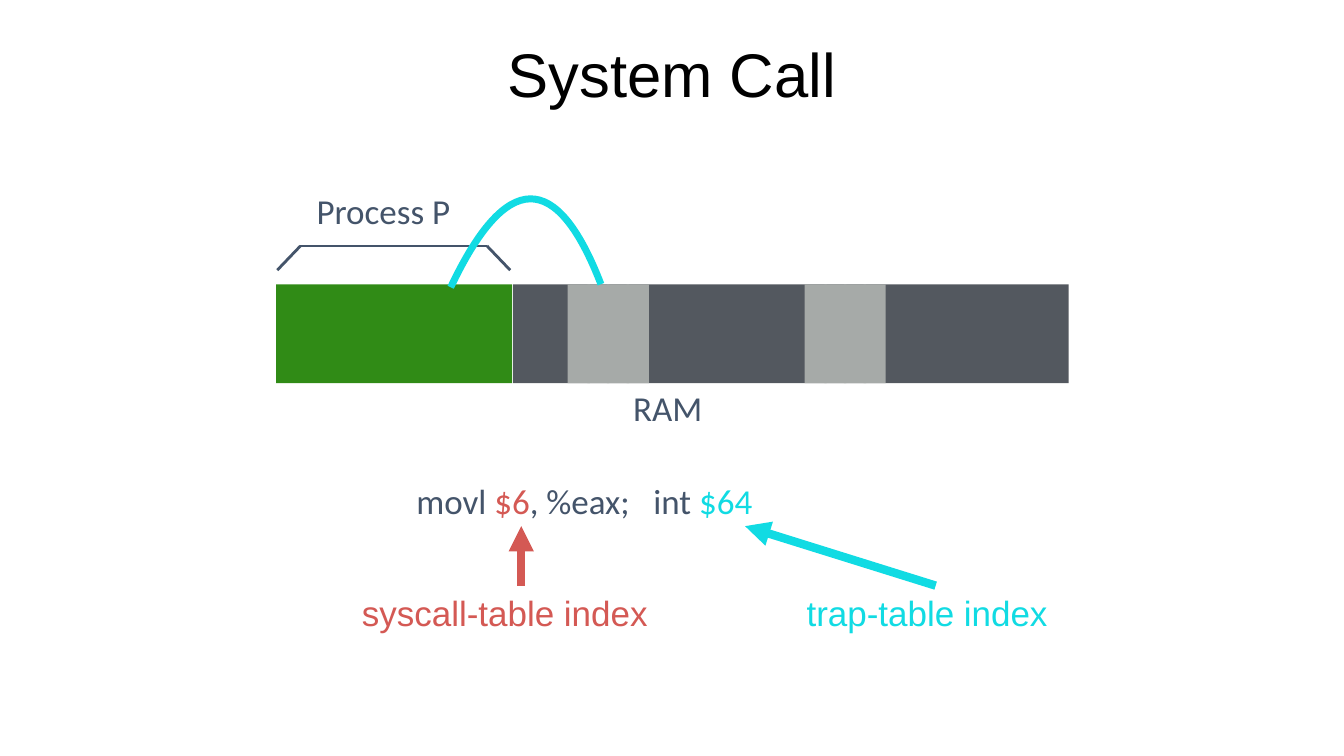
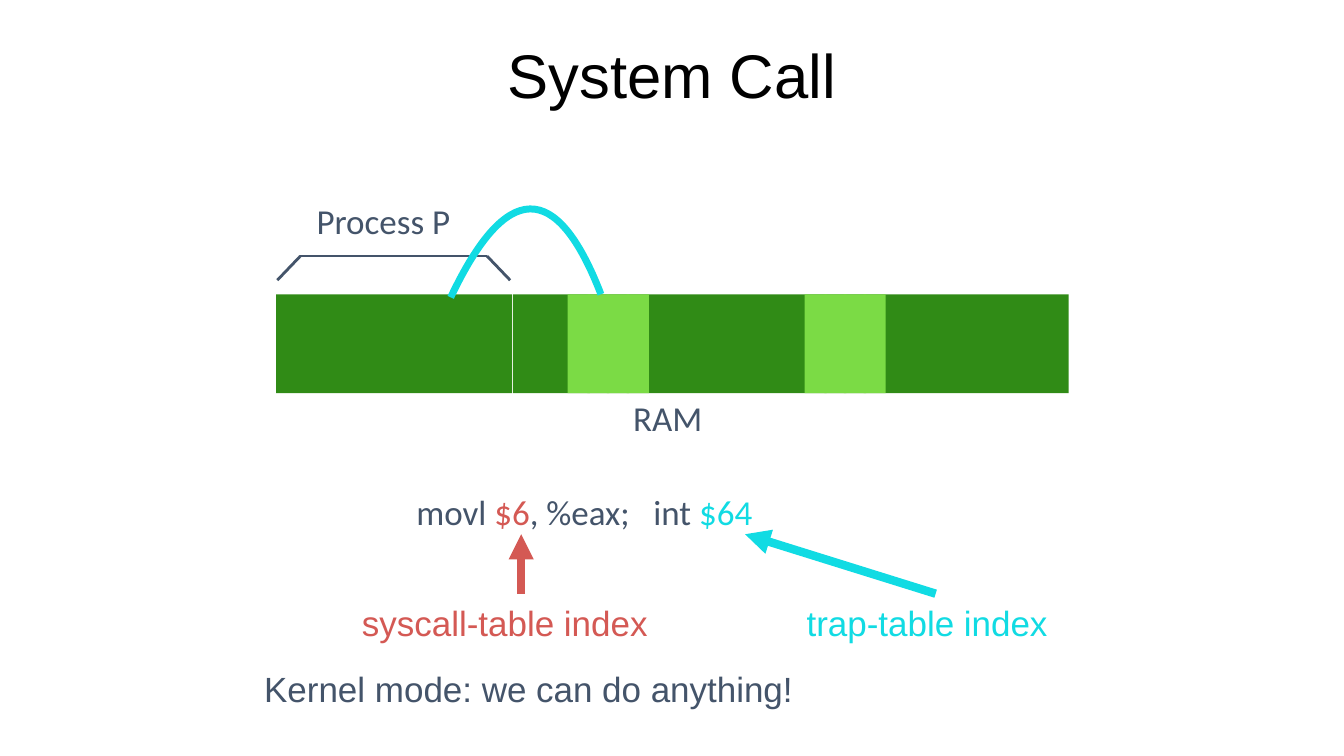
from lxml.etree import SubElement
from pptx import Presentation
from pptx.dml.color import RGBColor
from pptx.enum.shapes import MSO_CONNECTOR, MSO_SHAPE
from pptx.enum.text import MSO_ANCHOR, MSO_AUTO_SIZE, PP_ALIGN
from pptx.oxml.ns import qn
from pptx.util import Inches, Pt

COLORS = {
    "title": "000000",
    "text": "44546A",
    "syscall": "D45954",
    "trap": "11DBE3",
    "accessible": "308B16",
    "accessible_block": "7BDB45",
    "protected": "53585F",
    "protected_block": "A6AAA8",
}
BAR_HEIGHT = 0.98
BLOCK_STARTS = (5.63, 7.98)
BLOCK_PARTS = 4
PART_WIDTH = 0.22
PART_STEP = 0.195


def color(name):
    """Return the named palette colour."""
    return RGBColor.from_string(COLORS[name])


def add_run(paragraph, text, color_name, font="Arial", size=25):
    """Append one formatted run to a paragraph."""
    run = paragraph.add_run()
    run.text = text
    run.font.name = font
    run.font.size = Pt(size)
    run.font.color.rgb = color(color_name)


def add_title(slide, text, top, height):
    """Place and format the slide title."""
    title = slide.shapes.title
    title.left, title.top = Inches(2.52), Inches(top)
    title.width, title.height = Inches(8.29), Inches(height)
    frame = title.text_frame
    frame.auto_size = MSO_AUTO_SIZE.NONE
    frame.vertical_anchor = MSO_ANCHOR.MIDDLE
    paragraph = frame.paragraphs[0]
    paragraph.alignment = PP_ALIGN.CENTER
    paragraph.line_spacing = 0.9
    add_run(paragraph, text, "title", size=44)


def add_label(slide, left, top, width, runs, font="Arial"):
    """Add a one-line label from (text, colour) runs."""
    shape = slide.shapes.add_textbox(Inches(left), Inches(top), Inches(width), Inches(0.5))
    frame = shape.text_frame
    frame.word_wrap = True
    frame.auto_size = MSO_AUTO_SIZE.SHAPE_TO_FIT_TEXT
    frame.vertical_anchor = MSO_ANCHOR.MIDDLE
    frame.margin_left = frame.margin_right = Inches(0.04)
    frame.margin_top = frame.margin_bottom = Inches(0.04)
    for text, color_name in runs:
        add_run(frame.paragraphs[0], text, color_name, font)


def add_bar(slide, left, top, width, color_name):
    """Add a borderless stretch of memory."""
    shape = slide.shapes.add_shape(
        MSO_SHAPE.RECTANGLE, Inches(left), Inches(top), Inches(width), Inches(BAR_HEIGHT)
    )
    shape.shadow.inherit = False
    shape.fill.solid()
    shape.fill.fore_color.rgb = color(color_name)
    shape.line.fill.background()


def add_line(slide, start, end, color_name, width, arrow=False):
    """Add a straight line, with an arrowhead at its end if asked."""
    connector = slide.shapes.add_connector(
        MSO_CONNECTOR.STRAIGHT, *(Inches(value) for value in (*start, *end))
    )
    connector.line.color.rgb = color(color_name)
    connector.line.width = Pt(width)
    if arrow:
        line = connector._element.spPr.find(qn("a:ln"))
        SubElement(line, qn("a:tailEnd"), type="triangle")
    SubElement(connector._element.spPr, qn("a:effectLst"))


def add_arc(slide, start, controls, end, peak, color_name):
    """Add an open cubic curve whose highest point lies at peak."""
    builder = slide.shapes.build_freeform(Inches(start[0]), Inches(start[1]))
    builder.add_line_segments(
        [(Inches(end[0]), Inches(peak)), (Inches(end[0]), Inches(end[1]))], close=False
    )
    shape = builder.convert_to_shape()
    outline = next(shape._element.iter(qn("a:path")))
    for segment in outline.findall(qn("a:lnTo")):
        outline.remove(segment)
    curve = SubElement(outline, qn("a:cubicBezTo"))
    for x, y in (*controls, end):
        SubElement(curve, qn("a:pt"), x=str(Inches(x - start[0])), y=str(Inches(y - peak)))
    shape.shadow.inherit = False
    shape.fill.background()
    shape.line.color.rgb = color(color_name)
    shape.line.width = Pt(5)


def add_bracket(slide, top):
    """Draw the bracket over the memory of the process."""
    corners = [(2.75, top + 0.24), (2.98, top), (4.83, top), (5.06, top + 0.24)]
    for start, end in zip(corners, corners[1:]):
        add_line(slide, start, end, "text", 2)


def add_memory(slide, top, kernel):
    """Draw the memory bar, its kernel blocks and its labels."""
    add_bar(slide, 2.74, top, 2.34, "accessible")
    add_bar(slide, 5.09, top, 5.51, kernel)
    for start in BLOCK_STARTS:
        for index in range(BLOCK_PARTS):
            add_bar(slide, start + index * PART_STEP, top, PART_WIDTH, f"{kernel}_block")
    add_label(slide, 6.24, top + 0.97, 0.81, [("RAM", "text")], "Calibri")
    add_label(slide, 3.1, top - 0.98, 1.6, [("Process P", "text")], "Calibri")
    add_bracket(slide, top - 0.38)
    add_arc(
        slide,
        (4.47, top + 0.03),
        [(5.02, top - 1.13), (5.52, top - 1.14)],
        (5.96, top),
        top - 0.85,
        "trap",
    )


def add_instruction(slide, top, arrow_top):
    """Show the trap instruction and explain its two numbers."""
    code = [("movl ", "text"), ("$6", "syscall"), (", %eax;   int ", "text"), ("$64", "trap")]
    add_label(slide, 4.09, top, 5.13, code, "Calibri")
    add_label(slide, 7.96, top + 1.11, 2.66, [("trap-table index", "trap")])
    add_label(slide, 3.55, top + 1.11, 3.02, [("syscall-table index", "syscall")])
    for tail_x, head_x, color_name in ((9.28, 7.39, "trap"), (5.17, 5.17, "syscall")):
        add_line(slide, (tail_x, arrow_top + 0.59), (head_x, arrow_top), color_name, 6, arrow=True)


def add_system_call_slide(presentation, title_box, memory_top, arrow_top, kernel):
    """Add one step of the system call and return its slide."""
    slide = presentation.slides.add_slide(presentation.slide_layouts[5])
    add_title(slide, "System Call", *title_box)
    add_memory(slide, memory_top, kernel)
    add_instruction(slide, memory_top + 1.9, arrow_top)
    return slide


def main():
    """Build and save the presentation."""
    presentation = Presentation()
    presentation.slide_width, presentation.slide_height = Inches(13.33), Inches(7.5)
    add_system_call_slide(presentation, (0.07, 1.4), 2.82, 5.22, "protected")
    slide = add_system_call_slide(presentation, (0.15, 1.26), 2.92, 5.3, "accessible")
    add_label(slide, 2.58, 6.58, 5.51, [("Kernel mode: we can do anything!", "text")])
    presentation.save("out.pptx")


if __name__ == "__main__":
    main()
